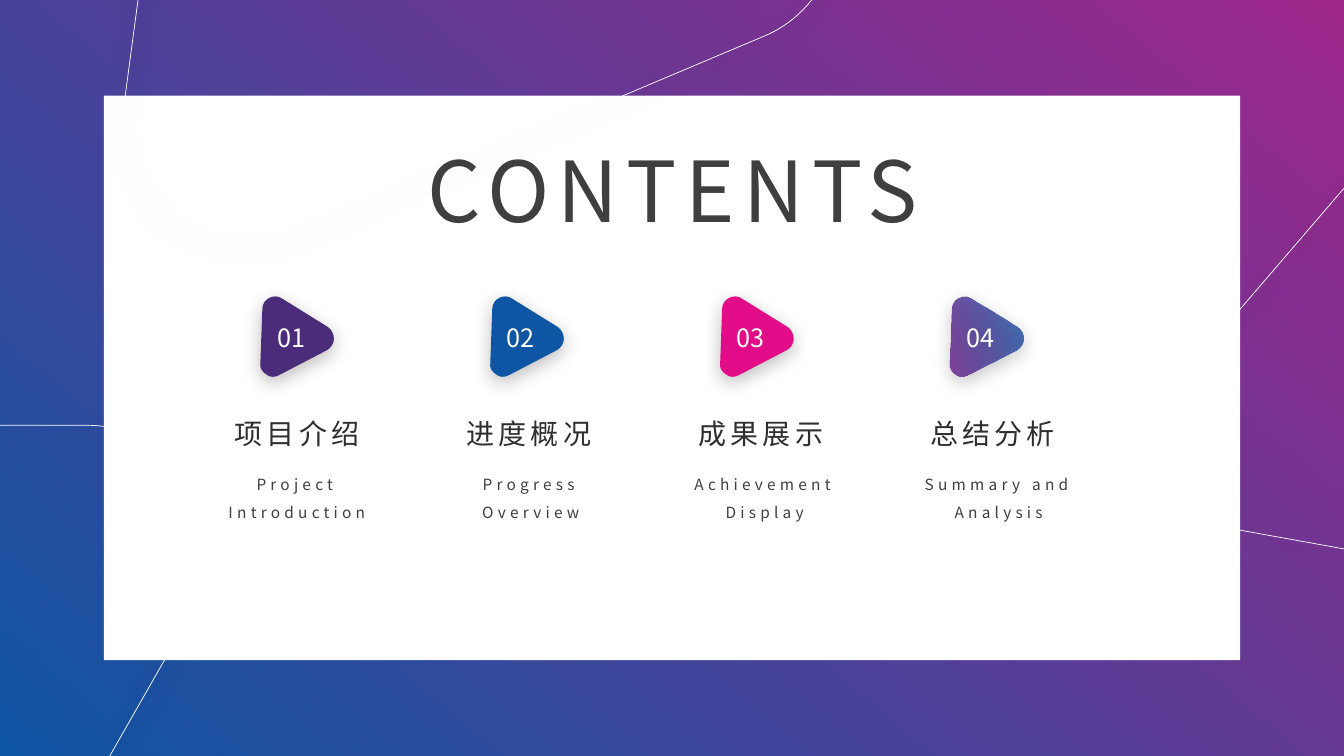
import math
from dataclasses import dataclass

import pptx
import pptx.dml.color
import pptx.enum.shapes
import pptx.enum.text
import pptx.oxml
import pptx.oxml.ns
import pptx.util
from lxml import etree

CM_PER_UNIT = 2.54
SLIDE_SIZE = (13.33, 7.5)
CARD_BOX = (1.03, 0.95, 11.27, 5.6)
TITLE = "CONTENTS"
TITLE_BOX = (3.77, 1.42, 5.81, 1.04)

SECTIONS = [
    ("01", "项目介绍", "Project Introduction", "4A2C7B"),
    ("02", "进度概况", "Progress Overview", "0E55A3"),
    ("03", "成果展示", "Achievement Display", "E20B88"),
    ("04", "总结分析", "Summary and Analysis", None),
]
MARKER_PITCH = 2.28
NUMBER_BOX, NUMBER_PITCH = (2.65, 3.15, 0.53, 0.4), 2.28
HEADING_BOX, HEADING_PITCH = (2.19, 4.12, 1.51, 0.51), 2.3
DETAIL_BOX, DETAIL_PITCH = (1.96, 4.57, 1.97, 0.62), 2.32

# Each outline: centre, rotation, then three rounded corners of two Bezier curves.
LEFT_OUTLINE = ((-1.65, 7.64), 180, [
    [(-2.71, 10.45), (-2.49, 10.83), (-2.09, 11.06), (-1.65, 11.06),
     (-1.22, 11.06), (-0.82, 10.83), (-0.6, 10.45)],
    [(1.91, 6.05), (2.13, 5.68), (2.13, 5.21), (1.91, 4.83),
     (1.7, 4.46), (1.3, 4.22), (0.87, 4.22)],
    [(-4.17, 4.22), (-4.6, 4.22), (-5.01, 4.46), (-5.22, 4.83),
     (-5.44, 5.21), (-5.44, 5.68), (-5.22, 6.05)],
])
RIGHT_OUTLINE = ((14.08, 3.75), 250.5, [
    [(11.75, 3.71), (11.53, 3.97), (11.46, 4.32), (11.57, 4.64),
     (11.69, 4.96), (11.96, 5.19), (12.3, 5.26)],
    [(16.18, 5.96), (16.5, 6.02), (16.85, 5.9), (17.07, 5.64),
     (17.29, 5.39), (17.36, 5.03), (17.25, 4.71)],
    [(15.94, 1.01), (15.83, 0.7), (15.55, 0.46), (15.22, 0.41),
     (14.89, 0.34), (14.54, 0.46), (14.32, 0.72)],
])
TOP_OUTLINE = ((3.77, -0.54), 217.3, [
    [(1.23, 1.06), (1.18, 1.5), (1.35, 1.93), (1.7, 2.19),
     (2.04, 2.45), (2.5, 2.51), (2.91, 2.34)],
    [(7.57, 0.37), (7.97, 0.21), (8.25, -0.17), (8.31, -0.6),
     (8.37, -1.03), (8.19, -1.47), (7.85, -1.73)],
    [(3.84, -4.78), (3.5, -5.04), (3.03, -5.1), (2.63, -4.92),
     (2.23, -4.76), (1.95, -4.39), (1.9, -3.96)],
])
MARKER_OUTLINE = ((2.83, 3.41), 212.5, [
    [(2.58, 3.61), (2.57, 3.65), (2.6, 3.7), (2.64, 3.72),
     (2.67, 3.75), (2.72, 3.75), (2.76, 3.73)],
    [(3.24, 3.48), (3.28, 3.46), (3.31, 3.41), (3.31, 3.37),
     (3.31, 3.32), (3.29, 3.28), (3.25, 3.25)],
    [(2.8, 2.97), (2.76, 2.94), (2.71, 2.94), (2.67, 2.96),
     (2.63, 2.98), (2.6, 3.02), (2.6, 3.07)],
])


@dataclass(frozen=True)
class Theme:
    font: str = "Noto Sans CJK SC"
    white: str = "FFFFFF"
    title: str = "3F3F3F"
    heading: str = "2F2F2F"
    gradient: tuple = (("9E278B", 92), ("0E55A3", 82))
    gradient_angle: int = 130
    title_size: int = 60
    heading_size: int = 20
    number_size: int = 18
    detail_size: int = 11
    outline_width: float = 0.5


THEME = Theme()


def color(value):
    return pptx.dml.color.RGBColor.from_string(value)


def length(value):
    return pptx.util.Cm(value * CM_PER_UNIT)


def shifted(box, distance):
    return (box[0] + distance, *box[1:])


def paint_gradient(fill, element):
    fill.gradient()
    fill.gradient_angle = 360 - THEME.gradient_angle
    for stop, (value, opacity) in zip(fill.gradient_stops, THEME.gradient):
        stop.color.rgb = color(value)
    gradient = next(element.iter(pptx.oxml.ns.qn("a:gradFill")))
    for node, (value, opacity) in zip(gradient.iter(pptx.oxml.ns.qn("a:srgbClr")), THEME.gradient):
        etree.SubElement(node, pptx.oxml.ns.qn("a:alpha"), val=str(opacity * 1000))


def add_soft_shadow(shape):
    shape.shadow.inherit = False
    effects = next(shape.element.iter(pptx.oxml.ns.qn("a:effectLst")))
    effects.append(pptx.oxml.parse_xml(
        f'<a:outerShdw {pptx.oxml.ns.nsdecls("a")} blurRad="{pptx.util.Pt(14)}" '
        f'dist="{pptx.util.Pt(4)}" dir="5400000" algn="t" rotWithShape="0">'
        '<a:srgbClr val="000000"><a:alpha val="25000"/></a:srgbClr></a:outerShdw>'))


def bend_segments(shape):
    segments = list(shape.element.iter(pptx.oxml.ns.qn("a:lnTo")))
    for first, second, end in zip(segments[::3], segments[1::3], segments[2::3]):
        curve = etree.Element(pptx.oxml.ns.qn("a:cubicBezTo"))
        first.addprevious(curve)
        for segment in (first, second, end):
            curve.append(segment[0])
            segment.getparent().remove(segment)


def add_rounded_triangle(slide, outline, offset=0):
    (center_x, center_y), rotation, corners = outline
    points = [corners[-1][-1]]
    for corner in corners:
        points += [corner[0]] * 3 + corner[1:]
    cosine, sine = math.cos(math.radians(rotation)), math.sin(math.radians(rotation))
    turned = []
    for x, y in points:
        across, down = x - center_x, y - center_y
        turned.append((length(center_x + offset + across * cosine + down * sine),
                       length(center_y - across * sine + down * cosine)))
    builder = slide.shapes.build_freeform(*turned[0])
    builder.add_line_segments(turned[1:], close=True)
    shape = builder.convert_to_shape()
    bend_segments(shape)
    shape.left = length(center_x + offset) - shape.width // 2
    shape.top = length(center_y) - shape.height // 2
    shape.rotation = rotation
    add_soft_shadow(shape)
    return shape


def add_outline(slide, outline):
    shape = add_rounded_triangle(slide, outline)
    shape.fill.background()
    shape.line.color.rgb = color(THEME.white)
    shape.line.width = pptx.util.Pt(THEME.outline_width)


def add_card(slide):
    card = slide.shapes.add_shape(pptx.enum.shapes.MSO_SHAPE.RECTANGLE, *map(length, CARD_BOX))
    card.shadow.inherit = False
    card.fill.solid()
    card.fill.fore_color.rgb = color(THEME.white)
    card.line.fill.background()


def add_marker(slide, offset, value):
    marker = add_rounded_triangle(slide, MARKER_OUTLINE, offset)
    marker.line.fill.background()
    if value is None:
        paint_gradient(marker.fill, marker.element)
    else:
        marker.fill.solid()
        marker.fill.fore_color.rgb = color(value)


def write_text(shape, text, size, value, tracking=0, centered=True, line_spacing=None, space_before=0):
    frame = shape.text_frame
    frame.text = text
    frame.word_wrap = True
    paragraph = frame.paragraphs[0]
    if centered:
        paragraph.alignment = pptx.enum.text.PP_ALIGN.CENTER
    paragraph.line_spacing = line_spacing
    paragraph.space_before = pptx.util.Pt(space_before)
    run = paragraph.runs[0]
    run.font.size = pptx.util.Pt(size)
    run.font.name = THEME.font
    run.font.color.rgb = color(value)
    properties = run._r.get_or_add_rPr()
    properties.set("spc", str(tracking * 100))
    etree.SubElement(properties, pptx.oxml.ns.qn("a:ea"), typeface=THEME.font)


def add_text(slide, box, text, size, value, grow=False, **options):
    shape = slide.shapes.add_textbox(*map(length, box))
    write_text(shape, text, size, value, **options)
    if grow:
        shape.text_frame.auto_size = pptx.enum.text.MSO_AUTO_SIZE.SHAPE_TO_FIT_TEXT


def place_title(slide):
    title = slide.shapes.title
    title.left, title.top, title.width, title.height = map(length, TITLE_BOX)
    write_text(title, TITLE, THEME.title_size, THEME.title, tracking=6, line_spacing=0.9, space_before=10)
    title.text_frame.auto_size = pptx.enum.text.MSO_AUTO_SIZE.NONE
    title.text_frame.vertical_anchor = pptx.enum.text.MSO_ANCHOR.MIDDLE
    title.element.getparent().append(title.element)


def main():
    presentation = pptx.Presentation()
    presentation.slide_width, presentation.slide_height = map(length, SLIDE_SIZE)
    slide = presentation.slides.add_slide(presentation.slide_layouts.get_by_name("Title Only"))
    paint_gradient(slide.background.fill, slide.element)
    add_outline(slide, LEFT_OUTLINE)
    add_outline(slide, RIGHT_OUTLINE)
    add_card(slide)
    add_outline(slide, TOP_OUTLINE)
    for index, (number, heading, detail, value) in enumerate(SECTIONS):
        add_marker(slide, index * MARKER_PITCH, value)
        add_text(slide, shifted(NUMBER_BOX, index * NUMBER_PITCH), number,
                 THEME.number_size, THEME.white, grow=True, centered=False)
        add_text(slide, shifted(HEADING_BOX, index * HEADING_PITCH), heading,
                 THEME.heading_size, THEME.heading, tracking=3, line_spacing=0.9, space_before=10)
        add_text(slide, shifted(DETAIL_BOX, index * DETAIL_PITCH), detail,
                 THEME.detail_size, THEME.title, grow=True, tracking=3, line_spacing=1.5)
    place_title(slide)
    presentation.save("out.pptx")


if __name__ == "__main__":
    main()
